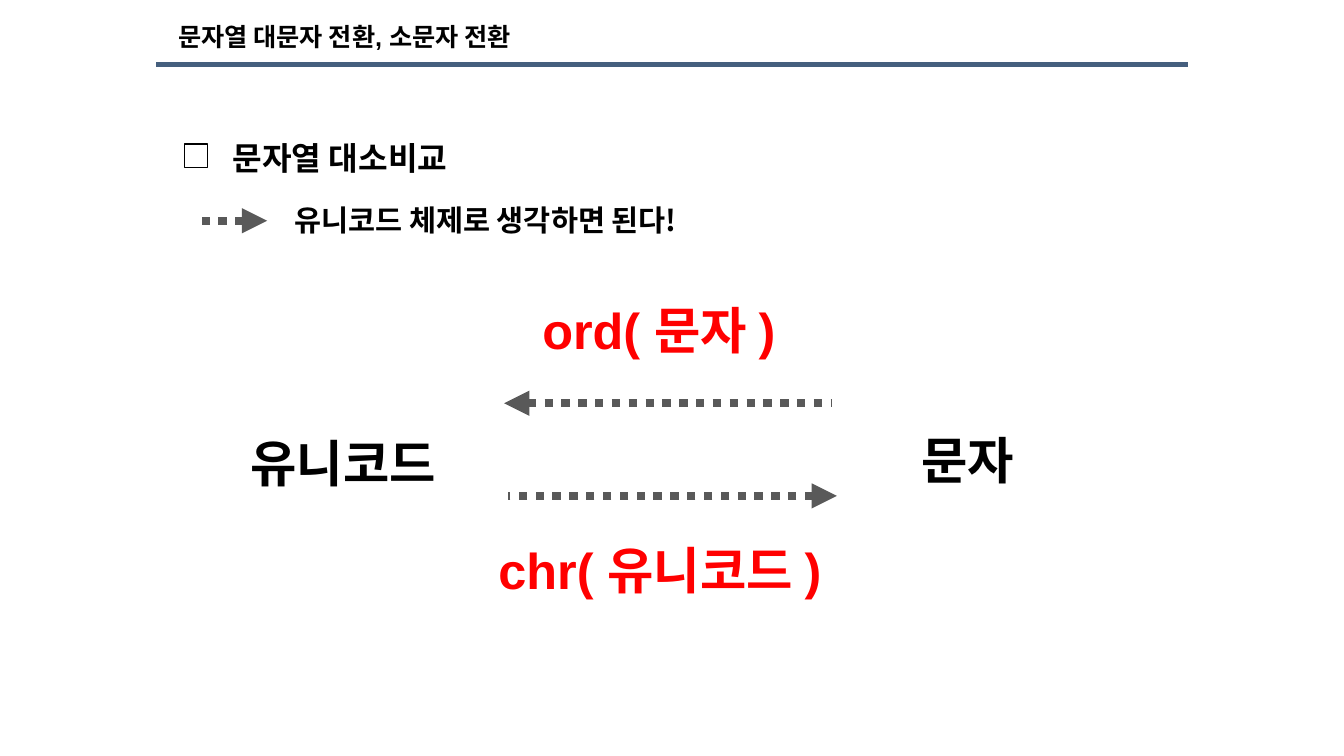
from dataclasses import dataclass

from lxml.etree import SubElement
from pptx import Presentation
from pptx.dml.color import RGBColor
from pptx.enum.dml import MSO_LINE
from pptx.enum.shapes import MSO_CONNECTOR, MSO_SHAPE
from pptx.enum.text import PP_ALIGN
from pptx.oxml.ns import qn
from pptx.util import Inches, Pt


@dataclass(frozen=True)
class Theme:
    black: str = "000000"
    white: str = "FFFFFF"
    red: str = "FF0000"
    gray: str = "595959"
    blue: str = "455F7E"
    latin: str = "Arial"
    korean: str = "Noto Sans CJK KR"
    title: int = 18
    head: int = 23
    note: int = 21
    big: int = 36


@dataclass(frozen=True)
class Label:
    text: str
    left: float
    top: float
    width: float
    height: float
    color: str
    spacing: float = 1.0


@dataclass(frozen=True)
class Arrow:
    tip: float
    end: float
    y: float


THEME = Theme()

# Conversion diagram: functions in red, the two sides in black
LABELS = [
    Label("ord( 문자 )", 2.87, 2.92, 7.33, 0.7, THEME.red),
    Label("chr( 유니코드 )", 2.88, 5.3, 7.33, 0.7, THEME.red),
    Label("유니코드", 1.75, 3.7, 3.31, 1.25, THEME.black, 1.9),
    Label("문자", 7.94, 3.67, 3.31, 1.25, THEME.black, 1.9),
]

ARROWS = [
    Arrow(2.65, 2.0, 2.19),
    Arrow(8.3, 5.04, 4.92),
    Arrow(5.0, 8.24, 4.0),
]


def add_text(slide, text: str, *, left: float, top: float, width: float,
             height: float, size: int, color: str = THEME.black,
             font: str = THEME.latin, align: PP_ALIGN = PP_ALIGN.LEFT,
             spacing: float = 1.0) -> None:
    box = slide.shapes.add_textbox(
        Inches(left), Inches(top), Inches(width), Inches(height))
    box.text_frame.word_wrap = True
    para = box.text_frame.paragraphs[0]
    para.alignment = align
    para.line_spacing = spacing
    run = para.add_run()
    run.text = text
    run.font.size = Pt(size)
    run.font.bold = True
    run.font.name = font
    run.font.color.rgb = RGBColor.from_string(color)
    # East Asian typeface for the Korean letters
    SubElement(run.font._element, qn("a:ea"), typeface=THEME.korean)


def add_line(slide, start: float, end: float, y: float, color: str,
             width: float):
    line = slide.shapes.add_connector(
        MSO_CONNECTOR.STRAIGHT,
        Inches(start), Inches(y), Inches(end), Inches(y))
    line.line.color.rgb = RGBColor.from_string(color)
    line.line.width = Pt(width)
    SubElement(line._element.spPr, qn("a:effectLst"))
    return line


def add_arrow(slide, arrow: Arrow) -> None:
    line = add_line(slide, arrow.tip, arrow.end, arrow.y, THEME.gray, 6).line
    line.dash_style = MSO_LINE.ROUND_DOT
    dash = line._ln.find(qn("a:prstDash"))
    dash.set("val", "sysDot")
    SubElement(line._ln, qn("a:headEnd"), type="triangle")


def add_check(slide) -> None:
    box = slide.shapes.add_shape(
        MSO_SHAPE.RECTANGLE,
        Inches(1.83), Inches(1.43), Inches(0.23), Inches(0.23))
    box.shadow.inherit = False
    box.fill.solid()
    box.fill.fore_color.rgb = RGBColor.from_string(THEME.white)
    box.line.color.rgb = RGBColor.from_string(THEME.black)
    box.line.width = Pt(1)


def main() -> None:
    deck = Presentation()
    deck.slide_width = Inches(13.33)
    deck.slide_height = Inches(7.5)
    slide = deck.slides.add_slide(deck.slide_layouts[6])

    # Title and rule
    add_line(slide, 1.55, 11.78, 0.64, THEME.blue, 3.6)
    add_text(slide, "문자열 대문자 전환, 소문자 전환", left=1.67, top=0.16,
             width=5.67, height=0.4, size=THEME.title)

    # Topic and its explanation
    add_check(slide)
    add_text(slide, "문자열 대소비교", left=2.21, top=1.32,
             width=6.41, height=0.48, size=THEME.head)
    add_text(slide, "유니코드 체제로 생각하면 된다!", left=2.82, top=1.96,
             width=7.97, height=0.45, size=THEME.note, font=THEME.korean)

    # Diagram
    for label in LABELS:
        add_text(slide, label.text, left=label.left, top=label.top,
                 width=label.width, height=label.height, size=THEME.big,
                 color=label.color, align=PP_ALIGN.CENTER,
                 spacing=label.spacing)
    for arrow in ARROWS:
        add_arrow(slide, arrow)

    deck.save("out.pptx")


if __name__ == "__main__":
    main()
